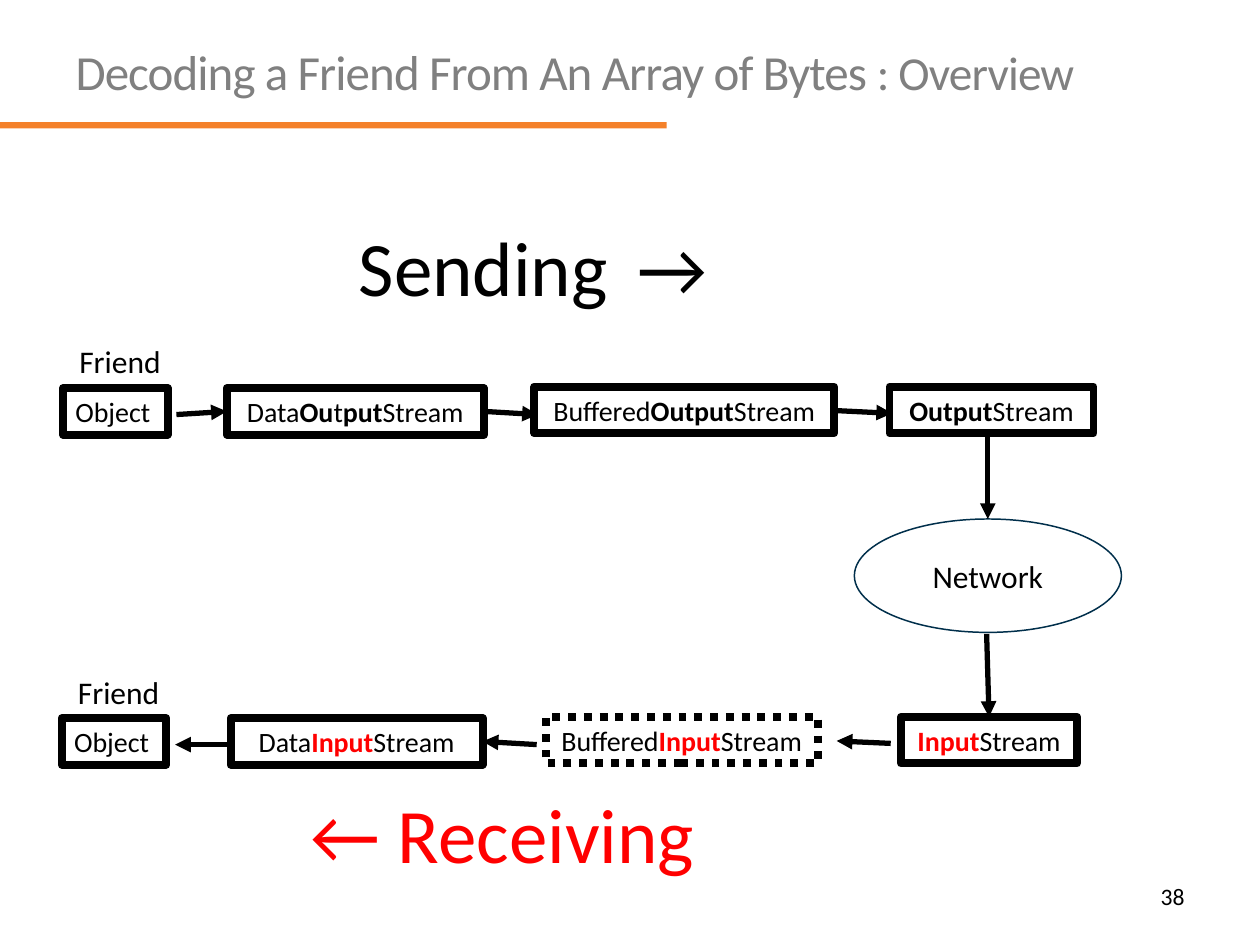
from lxml.etree import SubElement
from pptx import Presentation
from pptx.dml.color import RGBColor
from pptx.enum.dml import MSO_LINE as Dash
from pptx.enum.shapes import MSO_CONNECTOR as Conn, MSO_SHAPE as Kind
from pptx.enum.text import MSO_ANCHOR as Anchor, MSO_AUTO_SIZE as Auto, PP_ALIGN as Align
from pptx.oxml.ns import qn
from pptx.util import Pt

THEME = {
    "font": "Calibri", "ink": "000000", "red": "FF0000", "gray": "808080",
    "bar": "F4812A", "rim": "002F4B",
    "head": 28, "tail": 27, "big": 44, "label": 18, "box": 16, "page": 13.5,
    "frame": 4.5, "arrow": 3, "thin": 0.85,
}
TITLE = [("Decoding a Friend From An Array of Bytes ", "head"), (": Overview", "tail")]
PAGE = "38"
BOX_H = 26.6
BOXES = {
    "out obj": ("Object", 36, 221.8, 59.8),
    "out data": ("Data*Ou*t*put*Stream", 129.6, 221.8, 146.9),
    "out buf": ("Buffered*Output*Stream", 305.3, 221, 171.4),
    "out": ("*Output*Stream", 508.3, 221, 116.6),
    "in obj": ("Object", 35.3, 410.4, 59.8),
    "in data": ("Data*Input*Stream", 131.8, 410.4, 144),
    "in buf": ("Buffered*Input*Stream", 311.8, 409.7, 155.5),
    "in": ("*Input*Stream", 514.8, 409.7, 100.8),
}
NET = ("Network", 488.2, 296.6, 152.6, 64.8)
LABELS = [
    ("Friend", 38.2, 192.2, 61.2, 28.8, "label", "ink"),
    ("Friend", 37.4, 380.9, 61.2, 28.8, "label", "ink"),
    ("Sending\t→", 198, 121.7, 220.3, 60.5, "big", "ink"),
    ("← Receiving", 170.6, 445.7, 252, 60.5, "big", "red"),
]
TAB = 159
ARROWS = [
    ((100.8, 236.9), (130.3, 236.9), None, ("out data", 1)),
    ((276.5, 235.4), (307.4, 236.9), ("out data", 3), None),
    ((478.8, 234.7), (509.8, 236.2), None, None),
    ((564.5, 249.8), (564.5, 296.6), None, ("net", 0)),
    ((563.8, 362.2), (563.8, 409.7), None, ("in", 0)),
    ((509, 424.8), (478.1, 423.4), None, None),
    ((306.7, 425.5), (275.8, 424.8), None, ("in data", 3)),
    ((129.6, 425.5), (100.1, 425.5), None, None),
]


def rgb(name):
    return RGBColor.from_string(THEME[name])


def write(par, text, size, ink="ink", strong="ink", align=Align.LEFT, track=None):
    par.alignment = align
    for i, part in enumerate(text.split("*")):
        if not part:
            continue
        run = par.add_run()
        run.text = part
        font = run.font
        font.name, font.size = THEME["font"], Pt(THEME[size])
        font.bold = i % 2 == 1
        font.color.rgb = rgb(strong if i % 2 else ink)
        if track:
            run._r.get_or_add_rPr().set("spc", str(track))


def fit(frame, wrap=False):
    frame.word_wrap = wrap
    frame.auto_size = Auto.SHAPE_TO_FIT_TEXT


def draw(slide, kind, spot, line=None, width=None, fill=None):
    shape = slide.shapes.add_shape(kind, *map(Pt, spot))
    shape.shadow.inherit = False
    if fill:
        shape.fill.solid()
        shape.fill.fore_color.rgb = rgb(fill)
    else:
        shape.fill.background()
    if line:
        shape.line.color.rgb = rgb(line)
        shape.line.width = Pt(THEME[width])
    else:
        shape.line.fill.background()
    return shape


def link(slide, nodes, start, end, src, dst):
    arrow = slide.shapes.add_connector(Conn.STRAIGHT, *map(Pt, start + end))
    arrow.line.color.rgb = rgb("ink")
    arrow.line.width = Pt(THEME["arrow"])
    SubElement(arrow.line._get_or_add_ln(), qn("a:tailEnd"), type="triangle")
    SubElement(arrow._element.spPr, qn("a:effectLst"))
    if src:
        arrow.begin_connect(nodes[src[0]], src[1])
    if dst:
        arrow.end_connect(nodes[dst[0]], dst[1])


def main():
    deck = Presentation()
    deck.slide_width, deck.slide_height = Pt(720), Pt(540)
    slide = deck.slides.add_slide(deck.slide_layouts[5])
    draw(slide, Kind.RECTANGLE, (0, 69.8, 380.9, 3.6), fill="bar")

    title = slide.shapes.title
    title.left, title.top, title.width, title.height = map(Pt, (36, 21.6, 648, 48.2))
    frame = title.text_frame
    frame.auto_size, frame.vertical_anchor = Auto.NONE, Anchor.TOP
    frame.margin_top = Pt(6)
    par = frame.paragraphs[0]
    par.line_spacing = 0.9
    for text, size in TITLE:
        write(par, text, size, "gray", track=-50)

    page = slide.shapes.add_textbox(*map(Pt, (516.2, 500.4, 167.8, 28.8))).text_frame
    page.word_wrap = True
    write(page.paragraphs[0], PAGE, "page", align=Align.RIGHT)

    nodes = {}
    for name, (text, x, y, w) in BOXES.items():
        box = draw(slide, Kind.RECTANGLE, (x, y, w, BOX_H), "ink", "frame")
        if name == "in buf":
            box.line.dash_style = Dash.ROUND_DOT
        fit(box.text_frame, wrap=name.endswith("data"))
        write(box.text_frame.paragraphs[0], text, "box",
              strong="red" if name.startswith("in") else "ink",
              align=Align.LEFT if name.endswith("obj") else Align.CENTER)
        nodes[name] = box

    text, *spot = NET
    net = nodes["net"] = draw(slide, Kind.OVAL, spot, "rim", "thin")
    net.text_frame.vertical_anchor = Anchor.MIDDLE
    write(net.text_frame.paragraphs[0], text, "label", align=Align.CENTER)

    for arrow in ARROWS:
        link(slide, nodes, *arrow)

    for text, x, y, w, h, size, ink in LABELS:
        frame = slide.shapes.add_textbox(*map(Pt, (x, y, w, h))).text_frame
        fit(frame)
        par = frame.paragraphs[0]
        if "\t" in text:
            tabs = SubElement(par._p.get_or_add_pPr(), qn("a:tabLst"))
            SubElement(tabs, qn("a:tab"), pos=str(Pt(TAB)), algn="l")
        write(par, text, size, ink)

    deck.save("out.pptx")


if __name__ == "__main__":
    main()
